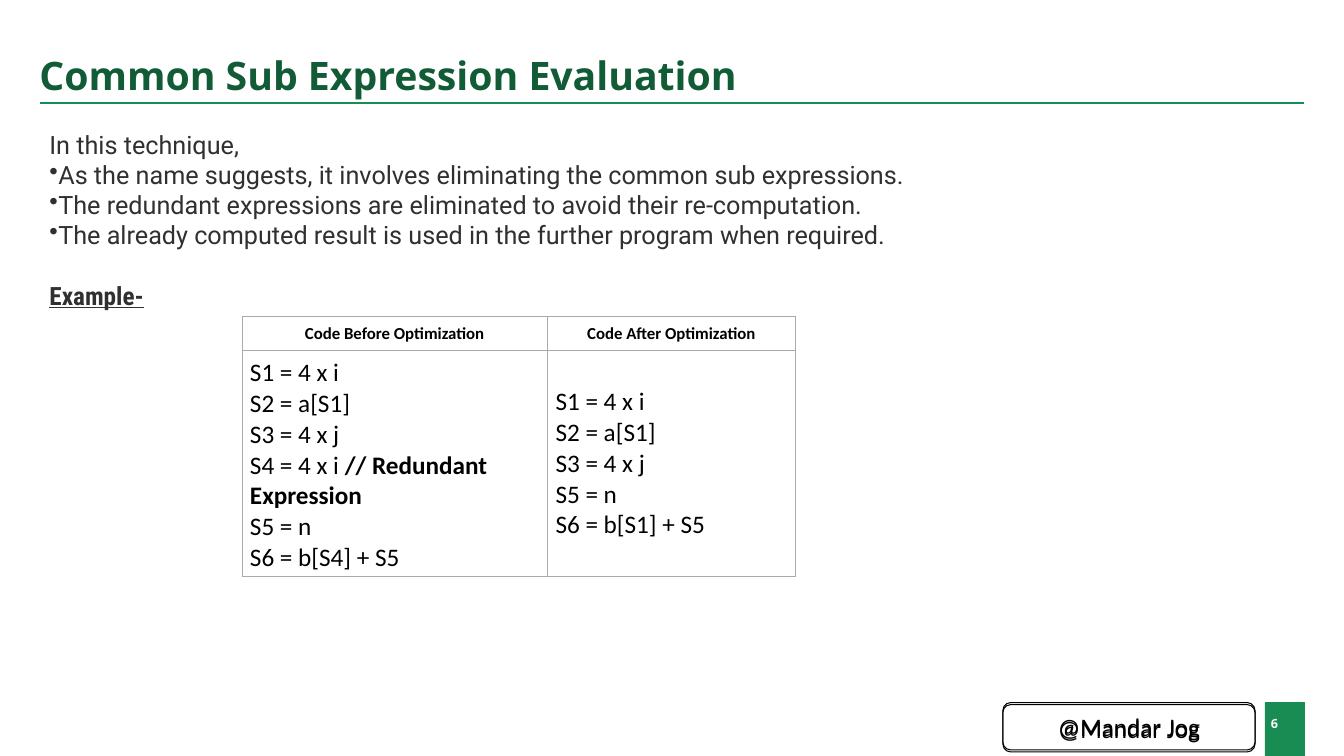
from lxml.etree import SubElement
from pptx import Presentation
from pptx.dml.color import RGBColor
from pptx.enum.shapes import MSO_CONNECTOR as Connector, MSO_SHAPE as Shape
from pptx.enum.text import MSO_ANCHOR as Anchor, PP_ALIGN as Align
from pptx.oxml.ns import qn
from pptx.util import Inches, Pt

COLORS = {
    "green": "198C53",
    "title": "115C36",
    "body": "303030",
    "black": "000000",
    "white": "FFFFFF",
    "border": "AAAAAA",
}
COLUMNS, ROWS = 34, 30
BEFORE = [
    ["S1 = 4 x i"],
    ["S2 = a[S1]"],
    ["S3 = 4 x j"],
    ["S4 = 4 x i ", "// Redundant Expression"],
    ["S5 = n"],
    ["S6 = b[S4] + S5"],
]
AFTER = [["S1 = 4 x i"], ["S2 = a[S1]"], ["S3 = 4 x j"], ["S5 = n"], ["S6 = b[S1] + S5"]]
POINTS = [
    "As the name suggests, it involves eliminating the common sub expressions.",
    "The redundant expressions are eliminated to avoid their re-computation.",
    "The already computed result is used in the further program when required.",
]


def rgb(name):
    return RGBColor.from_string(COLORS[name])


class SlideBuilder:
    def __init__(self, presentation):
        self.column = presentation.slide_width / COLUMNS
        self.row = presentation.slide_height / ROWS
        self.slide = presentation.slides.add_slide(presentation.slide_layouts[6])
        self.shapes = self.slide.shapes

    def across(self, columns):
        return round(columns * self.column)

    def down(self, rows):
        return round(rows * self.row)

    def box(self, left, top, width, height):
        return self.across(left), self.down(top), self.across(width), self.down(height)

    def style(self, paragraph, font, size, color, bold=False, align=Align.LEFT):
        paragraph.alignment = align
        paragraph.font.name = font
        paragraph.font.size = Pt(size)
        paragraph.font.bold = bold
        paragraph.font.color.rgb = rgb(color)

    def margins(self, frame, left, top, right, bottom):
        frame.margin_left, frame.margin_top = Inches(left), Inches(top)
        frame.margin_right, frame.margin_bottom = Inches(right), Inches(bottom)

    def shape(self, preset, area, line, weight, fill=None):
        shape = self.shapes.add_shape(preset, *self.box(*area))
        shape.shadow.inherit = False
        if fill:
            shape.fill.solid()
            shape.fill.fore_color.rgb = rgb(fill)
        else:
            shape.fill.background()
        shape.line.color.rgb = rgb(line)
        shape.line.width = Pt(weight)
        return shape

    def badge(self, area, text):
        shape = self.shape(Shape.ROUNDED_RECTANGLE, area, "black", 0.75)
        frame = shape.text_frame
        frame.vertical_anchor = Anchor.MIDDLE
        frame.text = text
        self.style(frame.paragraphs[0], "Calibri", 18, "black", align=Align.CENTER)

    def rule(self, left, right, row):
        rule = self.shapes.add_connector(
            Connector.STRAIGHT,
            self.across(left), self.down(row), self.across(right), self.down(row),
        )
        rule.line.color.rgb = rgb("green")
        rule.line.width = Pt(1.5)
        SubElement(rule._element.spPr, qn("a:effectLst"))

    def text(self, area, lines, font, size, color, bold=False, anchor=Anchor.TOP, margins=None):
        frame = self.shapes.add_textbox(*self.box(*area)).text_frame
        frame.word_wrap = True
        frame.vertical_anchor = anchor
        if margins:
            self.margins(frame, *margins)
        frame.text = "\n".join(lines)
        for paragraph in frame.paragraphs:
            self.style(paragraph, font, size, color, bold)
        return frame.paragraphs

    def bullet(self, paragraph):
        properties = paragraph._p.get_or_add_pPr()
        properties.set("marL", "0")
        properties.set("indent", "0")
        mark = properties.makeelement(qn("a:buChar"), {"char": "•"})
        properties.insert_element_before(mark, "a:tabLst", "a:defRPr", "a:extLst")

    def cell(self, cell, lines, size, bold, align):
        self.margins(cell, 0.08, 0.07, 0.08, 0.07)
        cell.vertical_anchor = Anchor.MIDDLE
        frame = cell.text_frame
        for index, pieces in enumerate(lines):
            paragraph = frame.add_paragraph() if index else frame.paragraphs[0]
            self.style(paragraph, "Calibri", size, "black", bold, align)
            for position, piece in enumerate(pieces):
                run = paragraph.add_run()
                run.text = piece
                if position:
                    run.font.bold = True
        properties = cell._tc.get_or_add_tcPr()
        for side in ("lnL", "lnR", "lnT", "lnB"):
            line = SubElement(properties, qn(f"a:{side}"), w=str(Pt(0.6)))
            fill = SubElement(line, qn("a:solidFill"))
            SubElement(fill, qn("a:srgbClr"), val=COLORS["border"])
        cell.fill.solid()
        cell.fill.fore_color.rgb = rgb("white")

    def table(self, left, top, widths, heights, headings, bodies):
        area = self.box(left, top, sum(widths), sum(heights))
        table = self.shapes.add_table(len(heights), len(widths), *area).table
        table.first_row = table.horz_banding = False
        for row, height in zip(table.rows, heights):
            row.height = self.down(height)
        for index, (width, heading, body) in enumerate(zip(widths, headings, bodies)):
            table.columns[index].width = self.across(width)
            self.cell(table.cell(0, index), [[heading]], 12, True, Align.CENTER)
            self.cell(table.cell(1, index), body, 18, False, Align.LEFT)


def main():
    presentation = Presentation()
    presentation.slide_width, presentation.slide_height = Inches(13.333), Inches(7.5)
    builder = SlideBuilder(presentation)

    builder.shape(Shape.RECTANGLE, (32, 27.88, 1, 2.12), "green", 0.5, "green")
    number = builder.text((32, 27.84, 1, 1.56), ["6"], "Open Sans", 9, "white", True,
                          Anchor.MIDDLE, (0.06, 0.04, 0, 0))
    number[0].space_before = Pt(4.2)
    for top in (27.88, 27.96):
        builder.badge((25.37, top, 6.38, 1.88), "@Mandar Jog")
    builder.rule(1, 33, 4.08)

    title = builder.text((1, 0.32, 32, 3.76), ["Common Sub Expression Evaluation"], "Open Sans",
                         28, "title", True, Anchor.BOTTOM, (0, 0.04, 0, 0.04))
    title[0].line_spacing = 0.9

    body = builder.text((1, 4.92, 28.46, 8.88), ["In this technique,", *POINTS, "Example-"],
                        "Roboto", 18, "body")
    for paragraph in body[1:-1]:
        builder.bullet(paragraph)
    example = body[-1]
    example.space_before = Pt(21.5)
    example.font.name = "Roboto Condensed"
    example.font.bold = example.font.underline = True

    builder.table(6.12, 12.56, (7.73, 6.27), (1.36, 8.92),
                  ("Code Before Optimization", "Code After Optimization"), (BEFORE, AFTER))
    presentation.save("out.pptx")


if __name__ == "__main__":
    main()
